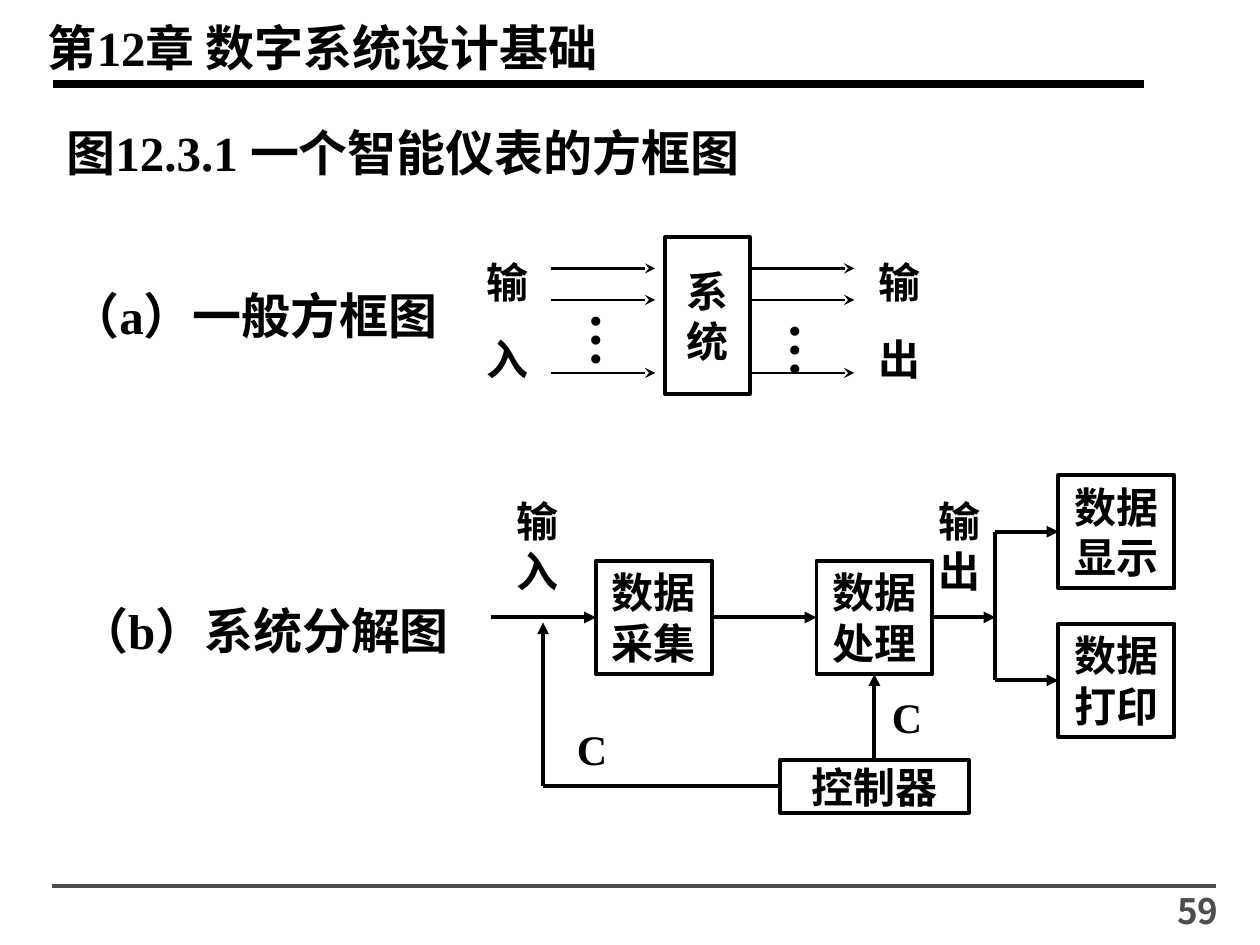
from lxml import etree
from pptx import Presentation
from pptx.dml.color import RGBColor
from pptx.enum.shapes import MSO_CONNECTOR, MSO_SHAPE
from pptx.enum.text import MSO_ANCHOR, MSO_AUTO_SIZE, PP_ALIGN
from pptx.oxml.ns import qn
from pptx.util import Inches, Pt

LINE, RECT = MSO_CONNECTOR.STRAIGHT, MSO_SHAPE.RECTANGLE
TOP, MIDDLE = MSO_ANCHOR.TOP, MSO_ANCHOR.MIDDLE
LEFT, CENTER, RIGHT = PP_ALIGN.LEFT, PP_ALIGN.CENTER, PP_ALIGN.RIGHT
COLORS = {"ink": "000000", "gray": "4D4D4D"}
SERIF, SANS = "Times New Roman", "Noto Sans CJK SC"

prs = Presentation()
prs.slide_width, prs.slide_height = Inches(10), Inches(7.5)
slide = prs.slides.add_slide(prs.slide_layouts[5])
shapes = slide.shapes


def write(shape, text, size=24, align=LEFT, anchor=TOP, font=SERIF, color="ink", side=0.1):
    """Fill a shape with bold wrapped text; later paragraphs get space before."""
    frame = shape.text_frame
    frame.text = text
    frame.word_wrap, frame.auto_size = True, MSO_AUTO_SIZE.NONE
    frame.vertical_anchor = anchor
    frame.margin_left = frame.margin_right = Inches(side)
    frame.margin_top = frame.margin_bottom = Inches(0.05)
    for i, para in enumerate(frame.paragraphs):
        para.alignment = align
        para.space_before = Pt(15 if i else 0)
        for run in para.runs:
            run.font.size, run.font.bold, run.font.name = Pt(size), True, font
            run.font.color.rgb = RGBColor.from_string(COLORS[color])
            east = etree.SubElement(run.font._element, qn("a:ea"))
            east.set("typeface", SANS)


def link(start, end, width=2.25, head="triangle", color="ink"):
    """Draw a line; each end is an (x, y) point or a (shape, side) pair."""
    ends = [p if isinstance(p[0], (int, float)) else (0, 0) for p in (start, end)]
    line = shapes.add_connector(LINE, *[Inches(v) for p in ends for v in p])
    if not isinstance(start[0], (int, float)):
        line.begin_connect(*start)
    if not isinstance(end[0], (int, float)):
        line.end_connect(*end)
    line.line.width = Pt(width)
    line.line.color.rgb = RGBColor.from_string(COLORS[color])
    if head:
        tail = etree.SubElement(line.line._get_or_add_ln(), qn("a:tailEnd"))
        tail.set("type", head)
    etree.SubElement(line._element.spPr, qn("a:effectLst"))


# Heading and rules
title = shapes.title
title.left, title.top, title.width, title.height = map(Inches, (0.28, 0.09, 6.24, 0.57))
write(title, "第12章 数字系统设计基础", 28)
link((0.42, 0.67), (9.08, 0.67), 4.5, None)
link((0.41, 7.03), (9.65, 7.03), 2, None, "gray")

# Labels
labels = [
    (0.43, 0.92, 5.57, 1.04, "图12.3.1 一个智能仪表的方框图", 28),
    (0.46, 2.22, 3.42, 0.57, "（a）一般方框图", 28),
    (0.53, 4.72, 3.72, 0.57, "（b）系统分解图", 28),
    (3.76, 1.99, 0.58, 1.11, "输\n入", 24),
    (6.87, 1.99, 0.58, 1.11, "输\n出", 24),
    (4, 3.88, 0.58, 0.9, "输入", 24),
    (7.35, 3.88, 0.58, 0.9, "输出", 24),
    (6.98, 5.44, 0.58, 0.5, "C", 24),
    (4.48, 5.69, 0.58, 0.5, "C", 24),
]
for *place, text, size in labels:
    write(shapes.add_textbox(*map(Inches, place)), text, size)

page = shapes.add_textbox(*map(Inches, (8.38, 7.01, 1.39, 0.39)))
write(page, "59", 20, RIGHT, font=SANS, color="gray")

# Vertical dots between the signal lines
for x, y in [(4.47, 2.38), (6.05, 2.46)]:
    dots = shapes.add_textbox(*map(Inches, (x, y, 0.73, 0.5)))
    write(dots, "…", 32, side=0.05)
    frame = dots.text_frame
    frame.margin_top = frame.margin_bottom = Inches(0.1)
    frame._txBody.bodyPr.set("vert", "eaVert")

# Blocks of both diagrams
blocks = {
    "系统": (5.28, 1.88, 0.67, 1.25),
    "数据采集": (4.73, 4.45, 0.92, 0.9),
    "数据处理": (6.48, 4.45, 0.92, 0.9),
    "数据显示": (8.4, 3.77, 0.92, 0.9),
    "数据打印": (8.4, 4.95, 0.92, 0.9),
    "控制器": (6.19, 6.03, 1.5, 0.42),
}
boxes = []
for text, place in blocks.items():
    box = shapes.add_shape(RECT, *map(Inches, place))
    box.shadow.inherit = False
    box.fill.background()
    box.line.width = Pt(2.25)
    box.line.color.rgb = RGBColor.from_string(COLORS["ink"])
    write(box, text, align=CENTER, anchor=MIDDLE, side=0 if text == "控制器" else 0.1)
    boxes.append(box)
system, gather, process, show, output, control = boxes

# Diagram a: signals in and out
for x in (4.37, 5.95):
    for y in (2.13, 2.38, 2.96):
        link((x, y), (x + 0.83, y), 1.5, "stealth")

# Diagram b: data flow, fork and control
flow, fork, back = 4.9, 7.9, 4.31
high, low, base = 4.22, 5.4, 6.24
link((3.9, flow), (gather, 1))
link((gather, 3), (process, 1))
link((process, 3), (fork, flow))
link((fork, high), (fork, low), head=None)
link((fork, high), (show, 1))
link((fork, low), (output, 1))
link((control, 0), (process, 2))
link((control, 1), (back, base), head=None)
link((back, base), (back, flow + 0.04))

prs.save("out.pptx")
